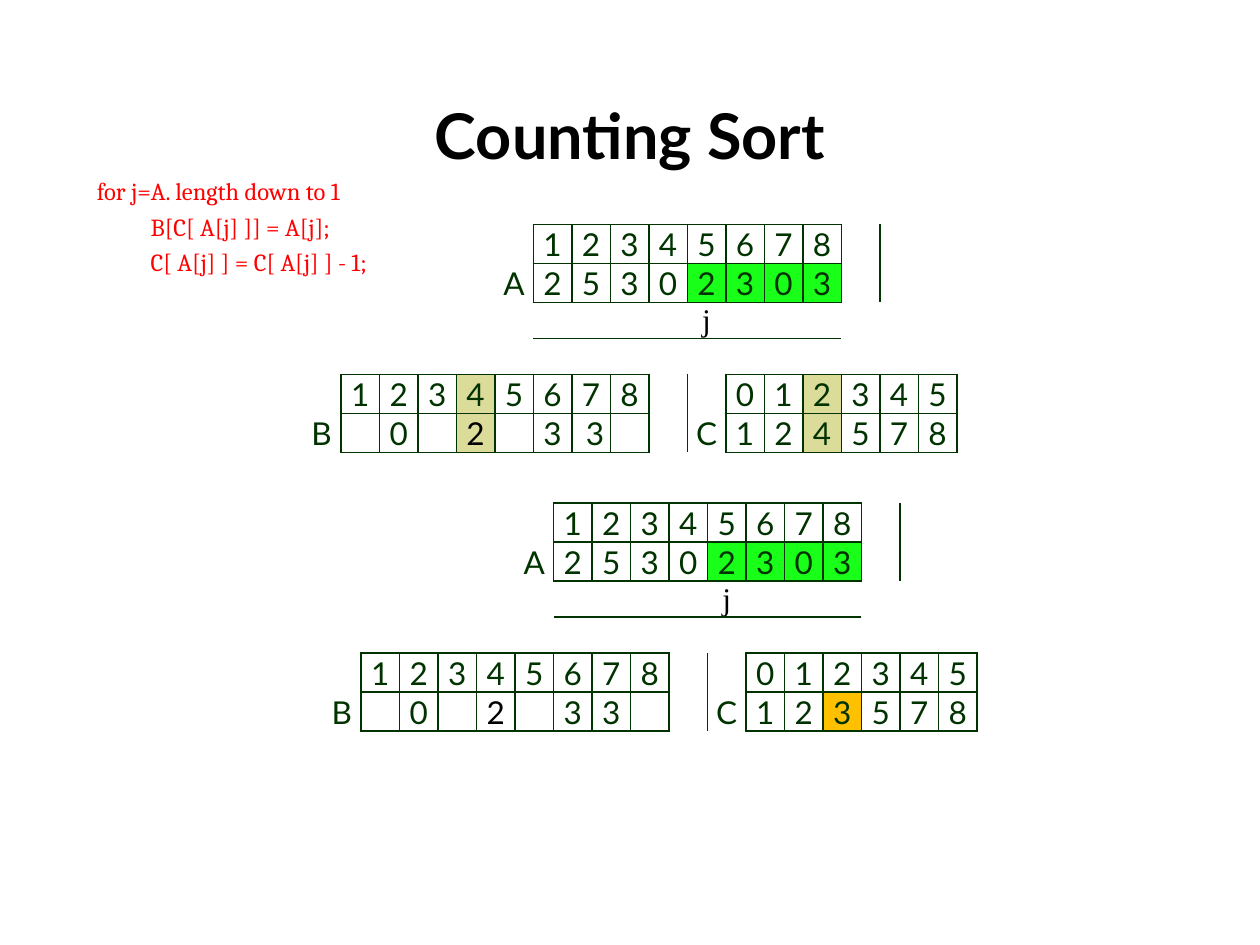
from lxml.etree import SubElement
from pptx import Presentation
from pptx.dml.color import RGBColor
from pptx.enum.text import MSO_ANCHOR, PP_ALIGN as Align
from pptx.oxml.ns import qn
from pptx.util import Pt

GREEN, BLACK, RED, WHITE = "003300", "000000", "FF0000", "FFFFFF"
LIME, KHAKI, AMBER = "1AFF1A", "DCDC9A", "FFC000"
ROWS, COLUMNS = 6, 17
COLUMN_WIDTH, ROW_HEIGHT = 22.02, 20.4

CODE = ["for j=A. length down to 1",
        "          B[C[ A[j] ]] = A[j];",
        "          C[ A[j] ] = C[ A[j] ] - 1;"]

# Framed arrays: first row, first column, number of columns (two rows each)
ARRAYS = [(0, 6, 8), (4, 1, 8), (4, 11, 6)]
# Loose rules: cells that carry one line on the given side
RULES = ([(row, 14, "R") for row in (0, 1)]
         + [(2, column, "B") for column in range(6, 14)]
         + [(row, 9, "R") for row in (4, 5)])
SIDES = {"L": (0, -1, "R"), "R": (0, 1, "L"), "T": (-1, 0, "B"), "B": (1, 0, "T")}


def color(hex_text):
    return RGBColor.from_string(hex_text)


def write(paragraph, text, size=18, font="Lato", ink=GREEN, bold=False,
          align=Align.CENTER):
    paragraph.alignment = align
    run = paragraph.add_run()
    run.text = text
    run.font.size, run.font.name, run.font.bold = Pt(size), font, bold
    run.font.color.rgb = color(ink)


def add_title(slide, text):
    title = slide.shapes.title
    title.left, title.top, title.width, title.height = Pt(36), Pt(31.68), Pt(648), Pt(90)
    title.text_frame.vertical_anchor = MSO_ANCHOR.MIDDLE
    write(title.text_frame.paragraphs[0], text, size=36, ink=BLACK, bold=True)


def add_code(slide, lines):
    frame = slide.shapes.add_textbox(Pt(48.24), Pt(93.6), Pt(607), Pt(67)).text_frame
    frame.word_wrap = True
    for index, line in enumerate(lines):
        paragraph = frame.add_paragraph() if index else frame.paragraphs[0]
        paragraph.line_spacing = 1.21
        write(paragraph, line, size=14, font="Cambria", ink=RED, align=Align.LEFT)


def find_edges():
    """Collect every drawn cell side, named from both neighbouring cells."""
    edges = {(row, column, side) for top, left, count in ARRAYS
             for row in (top, top + 1) for column in range(left, left + count)
             for side in SIDES} | set(RULES)
    mirrored = {(row + SIDES[side][0], column + SIDES[side][1], SIDES[side][2])
                for row, column, side in edges}
    return edges | mirrored


def set_border(cell, side, drawn):
    line = SubElement(cell._tc.get_or_add_tcPr(), qn(f"a:ln{side}"), w=str(Pt(1)))
    if drawn:
        fill = SubElement(line, qn("a:solidFill"))
        SubElement(fill, qn("a:srgbClr"), val=GREEN)
    else:
        SubElement(line, qn("a:noFill"))


def add_state(slide, left, top, b_values, c_values, fills):
    """Draw arrays A, B and C at one step of the loop."""
    table = slide.shapes.add_table(ROWS, COLUMNS, Pt(left), Pt(top),
                                   Pt(COLUMN_WIDTH * COLUMNS),
                                   Pt(ROW_HEIGHT * ROWS)).table
    table.first_row = table.horz_banding = False
    for column in table.columns:
        column.width = Pt(COLUMN_WIDTH)
    for row in table.rows:
        row.height = Pt(ROW_HEIGHT)

    # Contents, placed by row and first column
    strips = [(0, 6, "12345678"), (1, 5, "A25302303"), (2, 10, "j"),
              (4, 1, "12345678"), (4, 11, "012345"),
              (5, 0, ["B", *b_values]), (5, 10, "C" + c_values)]
    texts = {(row, first + offset): text for row, first, strip in strips
             for offset, text in enumerate(strip)}
    fills = {**{(1, column): LIME for column in range(10, 14)}, **fills}
    formats = {(2, 10): dict(font="Times New Roman", ink=BLACK),
               (5, 4): dict(ink=BLACK)}
    edges = find_edges()

    for row in range(ROWS):
        for column in range(COLUMNS):
            cell, spot = table.cell(row, column), (row, column)
            cell.margin_left = cell.margin_right = cell.margin_top = Pt(0.72)
            cell.margin_bottom = Pt(0)
            paragraph = cell.text_frame.paragraphs[0]
            if texts.get(spot):
                write(paragraph, texts[spot], **formats.get(spot, {}))
            else:
                # Small empty cells keep the row height
                SubElement(paragraph._p, qn("a:endParaRPr"), sz="1000")
            for side in SIDES:
                set_border(cell, side, (row, column, side) in edges)
            if spot in fills:
                cell.fill.solid()
                cell.fill.fore_color.rgb = color(fills[spot])
            else:
                cell.fill.background()


def main():
    deck = Presentation()
    deck.slide_width, deck.slide_height = Pt(720), Pt(540)
    slide = deck.slides.add_slide(deck.slide_layouts[5])
    slide.background.fill.solid()
    slide.background.fill.fore_color.rgb = color(WHITE)
    add_title(slide, "Counting Sort")
    # Before and after the count of 2 is lowered
    add_state(slide, 172.8, 128.16, ["", "0", "", "2", "", "3", " 3", ""], "124578",
              {(4, 4): KHAKI, (5, 4): KHAKI, (4, 13): KHAKI, (5, 13): KHAKI})
    add_state(slide, 184.32, 287.28, ["", "0", "", "2", "", "3", "3", ""], "123578",
              {(5, 13): AMBER})
    add_code(slide, CODE)
    deck.save("out.pptx")


if __name__ == "__main__":
    main()
